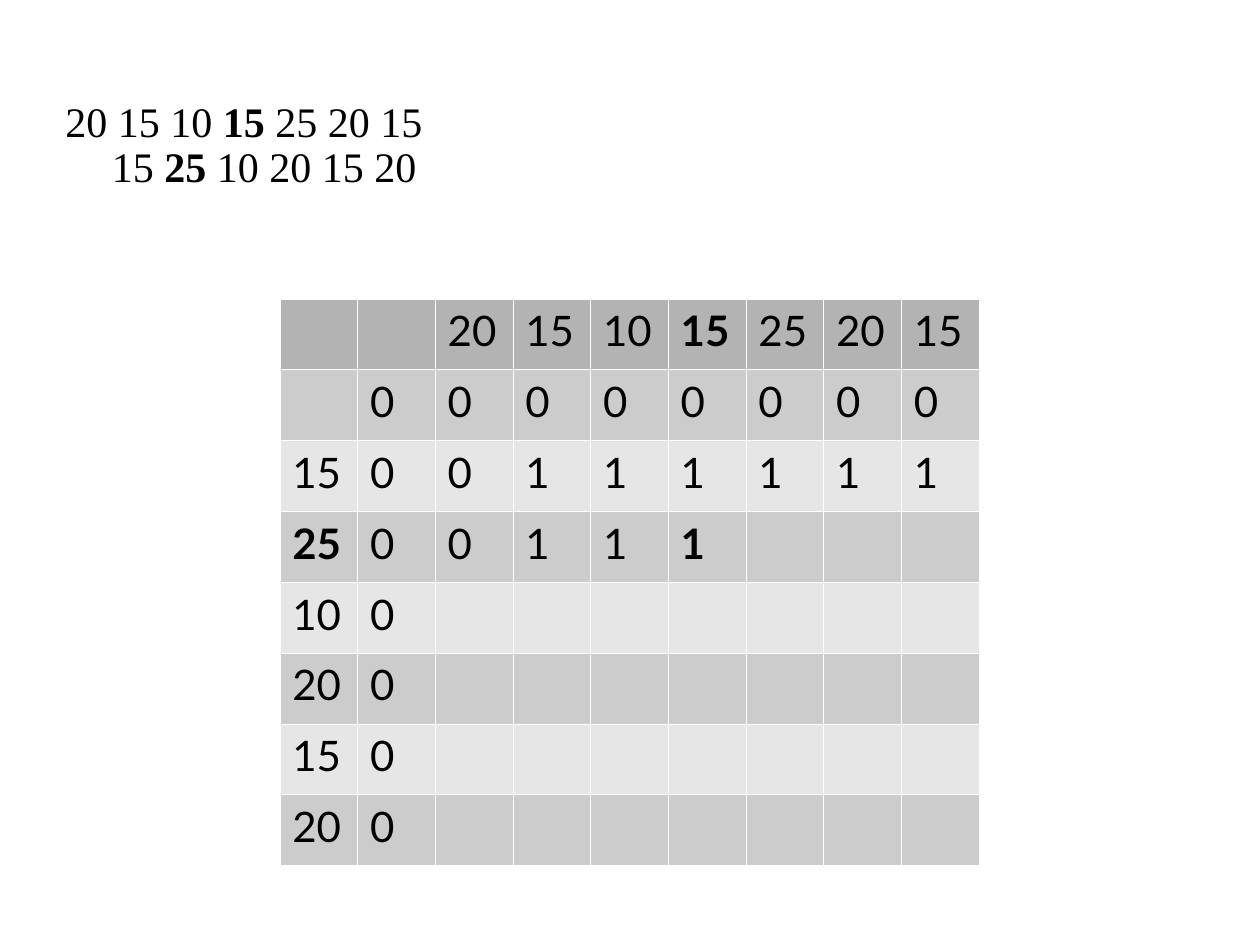
from dataclasses import dataclass

from lxml import etree
from pptx import Presentation
from pptx.dml.color import RGBColor
from pptx.oxml.ns import qn
from pptx.util import Inches, Pt

BLACK = RGBColor(0x00, 0x00, 0x00)
HEADER_GREY = RGBColor(0xB3, 0xB3, 0xB3)
DARK_BAND = RGBColor(0xCC, 0xCC, 0xCC)
LIGHT_BAND = RGBColor(0xE6, 0xE6, 0xE6)
BORDER_COLOR = "FFFFFF"
BORDER_WIDTH = Pt(0.06)
BORDER_SIDES = ("a:lnL", "a:lnR", "a:lnT", "a:lnB")
BLANK_LAYOUT = 6


@dataclass(frozen=True)
class Span:
    text: str
    bold: bool = False


# The two sequences, with the elements being compared in bold
SEQUENCES = [
    Span("20 15 10 "),
    Span("15", True),
    Span(" 25 20 15\v15 "),
    Span("25", True),
    Span(" 10 20 15 20"),
]

# Subsequence lengths filled in so far
TOP_SEQUENCE = ["20", "15", "10", "15", "25", "20", "15"]
SIDE_SEQUENCE = ["15", "25", "10", "20", "15", "20"]
LENGTHS = [
    ["0"] * 8,
    ["0", "0"] + ["1"] * 6,
    ["0", "0", "1", "1", "1"],
] + [["0"]] * 4
GRID = [["", ""] + TOP_SEQUENCE] + [
    [label] + lengths for label, lengths in zip([""] + SIDE_SEQUENCE, LENGTHS)
]
COLUMN_COUNT = len(GRID[0])
BOLD_CELLS = {(0, 5), (3, 0), (3, 5)}


def add_spans(para, spans: list[Span], font_name: str, line_spacing: float) -> None:
    para.line_spacing = line_spacing
    para.font.name = font_name
    para.font.size = Pt(24)
    para.font.color.rgb = BLACK
    for span in spans:
        for index, line in enumerate(span.text.split("\v")):
            if index:
                para.add_line_break()
            run = para.add_run()
            run.text = line
            run.font.bold = span.bold


def add_sequences(page) -> None:
    box = page.shapes.add_textbox(Inches(0.42), Inches(0.75), Inches(8.83), Inches(6.15))
    box.text_frame.word_wrap = True
    para = box.text_frame.paragraphs[0]
    # Hanging indent sets the second sequence to the right
    properties = para._p.get_or_add_pPr()
    properties.set("marL", str(Inches(0.37)))
    properties.set("indent", str(-Inches(0.37)))
    add_spans(para, SEQUENCES, "Times New Roman", 0.9)


def set_borders(cell) -> None:
    properties = cell._tc.get_or_add_tcPr()
    for position, side in enumerate(BORDER_SIDES):
        line = etree.Element(qn(side), w=str(BORDER_WIDTH))
        fill = etree.SubElement(line, qn("a:solidFill"))
        etree.SubElement(fill, qn("a:srgbClr"), val=BORDER_COLOR)
        properties.insert(position, line)


def row_color(row: int) -> RGBColor:
    if row == 0:
        return HEADER_GREY
    return DARK_BAND if row % 2 else LIGHT_BAND


def add_length_table(page) -> None:
    table = page.shapes.add_table(
        len(GRID), COLUMN_COUNT, Inches(2.22), Inches(2.37), Inches(5.55), Inches(4.5)
    ).table
    table.first_row = False
    table.horz_banding = False
    for row, values in enumerate(GRID):
        for column in range(COLUMN_COUNT):
            cell = table.cell(row, column)
            cell.fill.solid()
            cell.fill.fore_color.rgb = row_color(row)
            set_borders(cell)
            if column < len(values) and values[column]:
                span = Span(values[column], (row, column) in BOLD_CELLS)
                add_spans(cell.text_frame.paragraphs[0], [span], "Lato", 1.01)


def main() -> None:
    deck = Presentation()
    deck.slide_width = Inches(10)
    deck.slide_height = Inches(7.5)
    page = deck.slides.add_slide(deck.slide_layouts[BLANK_LAYOUT])
    add_sequences(page)
    add_length_table(page)
    deck.save("out.pptx")


if __name__ == "__main__":
    main()
